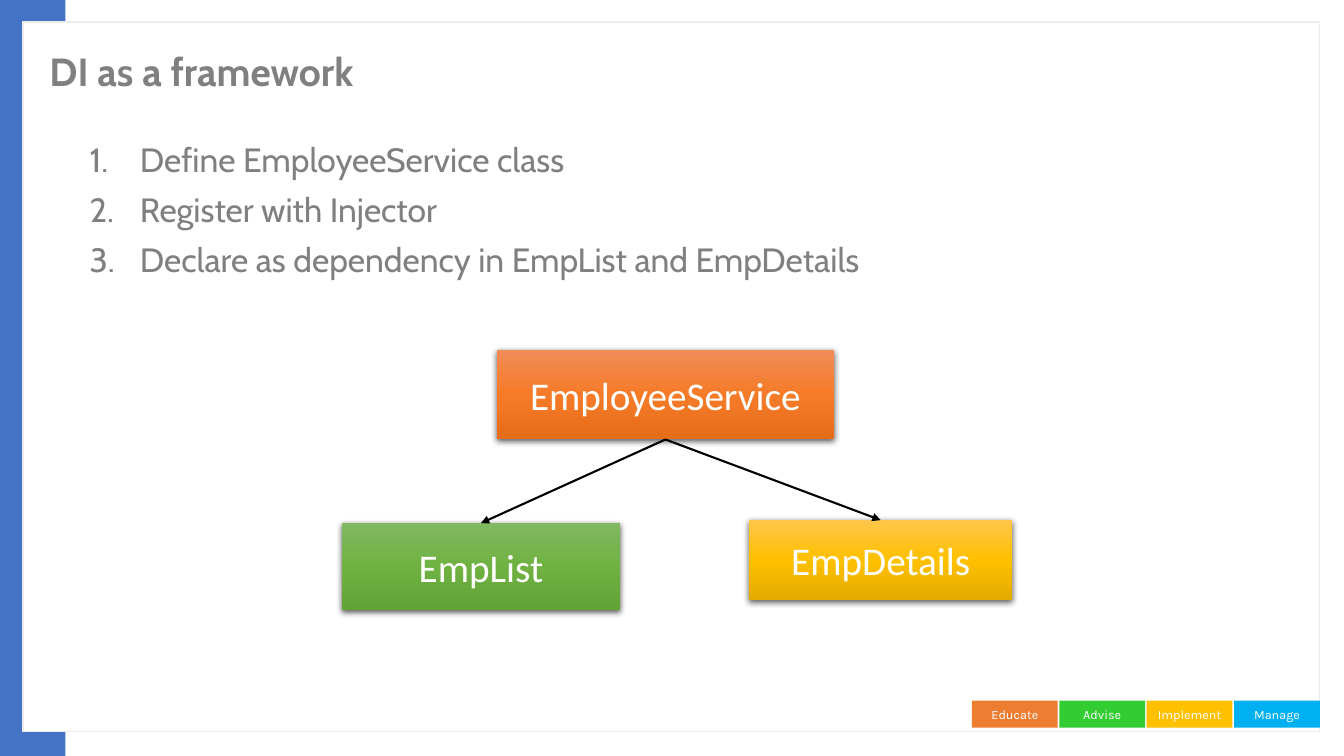
import pptx
import pptx.dml.color
import pptx.enum.shapes
import pptx.enum.text
import pptx.oxml
import pptx.oxml.ns
import pptx.util
from pptx.util import Inches

NS = pptx.oxml.ns.nsdecls("a")
QN = pptx.oxml.ns.qn
GREY = "808080"
WHITE = "FFFFFF"


def rgb(value):
    """Return the colour for a hex string."""
    return pptx.dml.color.RGBColor.from_string(value)


def format_runs(p, font, size, color, bold=False):
    """Format every run of a paragraph."""
    for r in p.runs:
        r.font.name = font
        r.font.size = pptx.util.Pt(size)
        r.font.color.rgb = rgb(color)
        r.font.bold = bold


def add_box(slide, left, top, width, height, fill=None, line=None):
    """Add a flat rectangle."""
    sp = slide.shapes.add_shape(
        pptx.enum.shapes.MSO_SHAPE.RECTANGLE,
        Inches(left), Inches(top), Inches(width), Inches(height))
    sp.shadow.inherit = False
    if fill:
        sp.fill.solid()
        sp.fill.fore_color.rgb = rgb(fill)
    if line:
        sp.line.color.rgb = rgb(line)
        sp.line.width = pptx.util.Pt(1)
    else:
        sp.line.fill.background()
    return sp


def add_label(sp, text, font, size):
    """Write a centred white label in a shape."""
    tf = sp.text_frame
    tf.text = text
    tf.word_wrap = False
    tf.vertical_anchor = pptx.enum.text.MSO_ANCHOR.MIDDLE
    p = tf.paragraphs[0]
    p.alignment = pptx.enum.text.PP_ALIGN.CENTER
    format_runs(p, font, size, WHITE)


def add_class_box(slide, text, place, colors):
    """Add a class box with a vertical gradient and a soft shadow."""
    sp = add_box(slide, *place)
    sp.fill.gradient()
    sp.fill.gradient_angle = 270
    stops = "".join(
        f'<a:gs pos="{i * 50000}"><a:srgbClr val="{color}"/></a:gs>'
        for i, color in enumerate(colors))
    sp_pr = sp._element.spPr
    old = sp_pr.find(".//" + QN("a:gsLst"))
    old.getparent().replace(old, pptx.oxml.parse_xml(f"<a:gsLst {NS}>{stops}</a:gsLst>"))
    sp_pr.find(QN("a:effectLst")).append(pptx.oxml.parse_xml(
        f'<a:outerShdw {NS} blurRad="57150" dist="19050" dir="5400000" algn="ctr" '
        'rotWithShape="0"><a:srgbClr val="000000"><a:alpha val="63000"/>'
        "</a:srgbClr></a:outerShdw>"))
    add_label(sp, text, "Calibri", 28)
    return sp


def add_arrow(slide, start, end):
    """Join the bottom of one box to the top of another."""
    cxn = slide.shapes.add_connector(pptx.enum.shapes.MSO_CONNECTOR.STRAIGHT, 0, 0, 0, 0)
    cxn.begin_connect(start, 2)
    cxn.end_connect(end, 0)
    cxn.line.color.rgb = rgb("000000")
    cxn.line.width = pptx.util.Pt(1.5)
    cxn.line._get_or_add_ln().append(
        pptx.oxml.parse_xml(f'<a:tailEnd {NS} type="triangle"/>'))
    cxn._element.spPr.append(pptx.oxml.parse_xml(f"<a:effectLst {NS}/>"))


def add_frame(slide):
    """Add the side band, the white panel and the footer tags."""
    add_box(slide, 0, 0, 0.65, 7.5, "4472C4")
    add_box(slide, 0.23, 0.22, 12.86, 7.04, WHITE, "EDEDED")
    tags = [("Educate", "ED7D31"), ("Advise", "33CC33"),
            ("Implement", "FFC000"), ("Manage", "00B0F0")]
    for i, (text, color) in enumerate(tags):
        sp = add_box(slide, 9.64 + i * 2.6 / 3, 6.95, 0.85, 0.27, color)
        add_label(sp, text, "Karla", 9)


def set_title(slide, text):
    """Place the title in front of the panel and format it."""
    sp = slide.shapes.title
    slide.shapes._spTree.append(sp._element)
    sp.left, sp.top = Inches(0.39), Inches(0.3)
    sp.width, sp.height = Inches(10.32), Inches(0.87)
    tf = sp.text_frame
    tf.text = text
    tf.vertical_anchor = pptx.enum.text.MSO_ANCHOR.MIDDLE
    p = tf.paragraphs[0]
    p.alignment = pptx.enum.text.PP_ALIGN.LEFT
    p.line_spacing = 0.9
    format_runs(p, "Cabin", 28, GREY, True)


def add_steps(slide, steps):
    """Add the numbered list."""
    sp = slide.shapes.add_textbox(Inches(0.79), Inches(1.37), Inches(12.07), Inches(1.6))
    tf = sp.text_frame
    tf.word_wrap = True
    tf.text = "\n".join(steps)
    for p in tf.paragraphs:
        p.line_spacing = 0.9
        p.space_before = pptx.util.Pt(10)
        p_pr = p._p.get_or_add_pPr()
        p_pr.set("marL", str(Inches(0.5)))
        p_pr.set("indent", str(Inches(-0.5)))
        p_pr.append(pptx.oxml.parse_xml(f'<a:buFont {NS} typeface="+mj-lt"/>'))
        p_pr.append(pptx.oxml.parse_xml(f'<a:buAutoNum {NS} type="arabicPeriod"/>'))
        format_runs(p, "Cabin", 24, GREY)


def main():
    """Build the slide and save it."""
    prs = pptx.Presentation()
    prs.slide_width, prs.slide_height = Inches(13.33), Inches(7.5)
    slide = prs.slides.add_slide(prs.slide_layouts[5])
    add_frame(slide)
    set_title(slide, "DI as a framework")
    add_steps(slide, ["Define EmployeeService class", "Register with Injector",
                      "Declare as dependency in EmpList and EmpDetails"])
    service = add_class_box(slide, "EmployeeService", (4.93, 3.47, 3.34, 0.89),
                            ("F18C57", "F67B28", "E56C19"))
    emp_list = add_class_box(slide, "EmpList", (3.39, 5.19, 2.76, 0.86),
                             ("81B861", "6FB242", "62A336"))
    details = add_class_box(slide, "EmpDetails", (7.43, 5.16, 2.61, 0.79),
                            ("FFC64B", "FFC000", "E3AB00"))
    for client in (emp_list, details):
        add_arrow(slide, service, client)
    prs.save("out.pptx")


if __name__ == "__main__":
    main()
